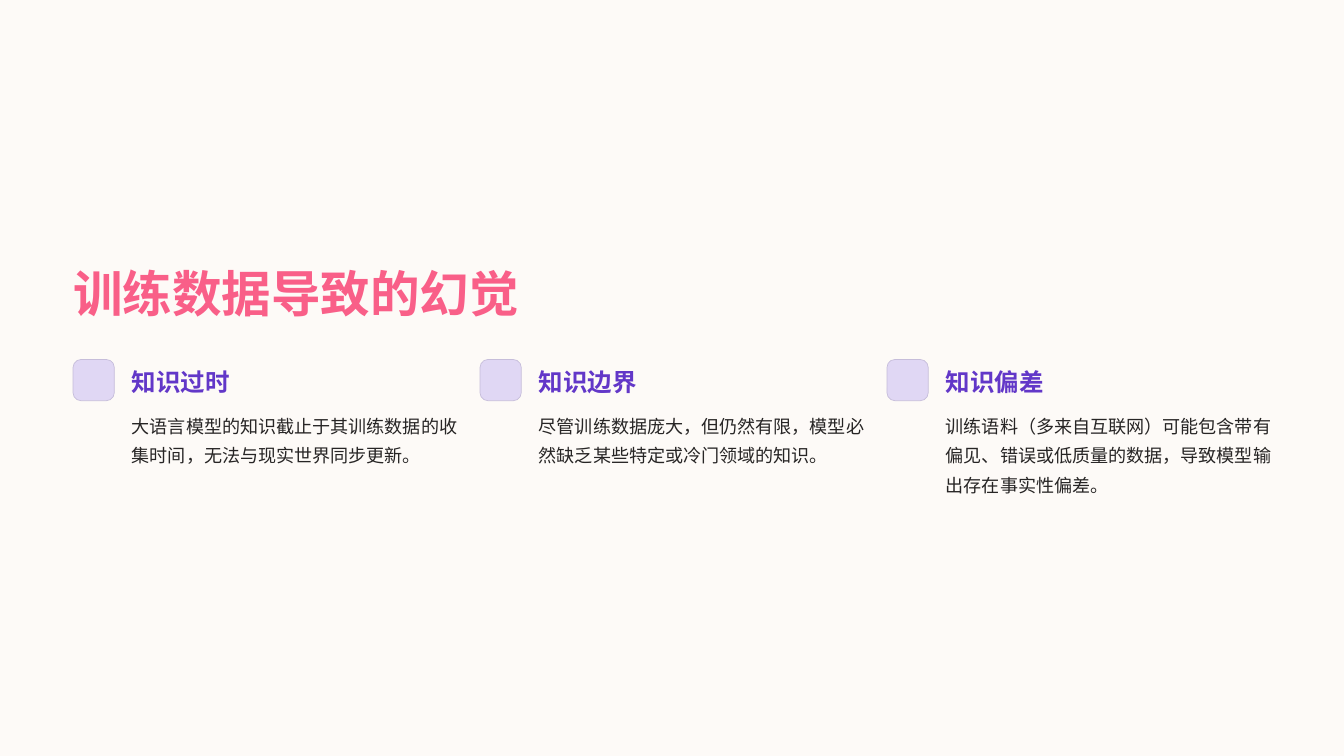
from pptx import Presentation
from pptx.dml.color import RGBColor
from pptx.enum.shapes import MSO_SHAPE
from pptx.util import Inches, Pt

ROUNDED = MSO_SHAPE.ROUNDED_RECTANGLE

# Content
TITLE = "训练数据导致的幻觉"
CAUSES = [
    ("知识过时", "大语言模型的知识截止于其训练数据的收集时间，无法与现实世界同步更新。", 2),
    ("知识边界", "尽管训练数据庞大，但仍然有限，模型必然缺乏某些特定或冷门领域的知识。", 2),
    ("知识偏差", "训练语料（多来自互联网）可能包含带有偏见、错误或低质量的数据，导致模型输出存在事实性偏差。", 3),
]
COLORS = {
    "background": "FDFAF7",
    "title": "F95F88",
    "heading": "6237C8",
    "body": "272525",
    "badge": "E0D7F4",
    "badge_line": "C6BDDA",
}

# Layout, in inches
LEFT = 0.87
COLUMN_STEP = 9.69 / 2
BADGE_TOP, BADGE_SIZE = 4.28, 0.49
TEXT_INDENT = 0.7
LINE_HEIGHT = 25 / 72


def color(name):
    return RGBColor.from_string(COLORS[name])


def add_text(slide, text, left, top, width, height, *, size, spacing, tint,
             font="Calibri", bold=False, wrap=False):
    box = slide.shapes.add_textbox(Inches(left), Inches(top), Inches(width), Inches(height))
    frame = box.text_frame
    frame.word_wrap = wrap
    frame.margin_left = frame.margin_top = frame.margin_right = frame.margin_bottom = 0
    paragraph = frame.paragraphs[0]
    paragraph.line_spacing = Pt(spacing)
    run = paragraph.add_run()
    run.text = text
    run.font.name = font
    run.font.size = Pt(size)
    run.font.bold = bold
    run.font.color.rgb = color(tint)


def add_badge(slide, left):
    badge = slide.shapes.add_shape(ROUNDED, Inches(left), Inches(BADGE_TOP),
                                   Inches(BADGE_SIZE), Inches(BADGE_SIZE))
    badge.adjustments[0] = 0.19
    badge.shadow.inherit = False
    badge.fill.solid()
    badge.fill.fore_color.rgb = color("badge")
    badge.line.color.rgb = color("badge_line")
    badge.line.width = Pt(0.6)


def main():
    presentation = Presentation()
    presentation.slide_width = Inches(16)
    presentation.slide_height = Inches(9)
    slide = presentation.slides.add_slide(presentation.slide_layouts[6])
    slide.background.fill.solid()
    slide.background.fill.fore_color.rgb = color("background")

    # Title
    add_text(slide, TITLE, LEFT, 3.1, 5.97, 0.75,
             size=42.5, spacing=53.5, tint="title", bold=True)

    # Three causes in equal columns
    for index, (heading, body, lines) in enumerate(CAUSES):
        left = LEFT + index * COLUMN_STEP
        text_left = left + TEXT_INDENT
        add_badge(slide, left)
        add_text(slide, heading, text_left, 4.35, 2.98, 0.37,
                 size=21, spacing=26.5, tint="heading", bold=True)
        add_text(slide, body, text_left, 4.86, 3.87, lines * LINE_HEIGHT,
                 size=15.5, spacing=25, tint="body", font="Inter", wrap=True)

    presentation.save("out.pptx")


if __name__ == "__main__":
    main()
